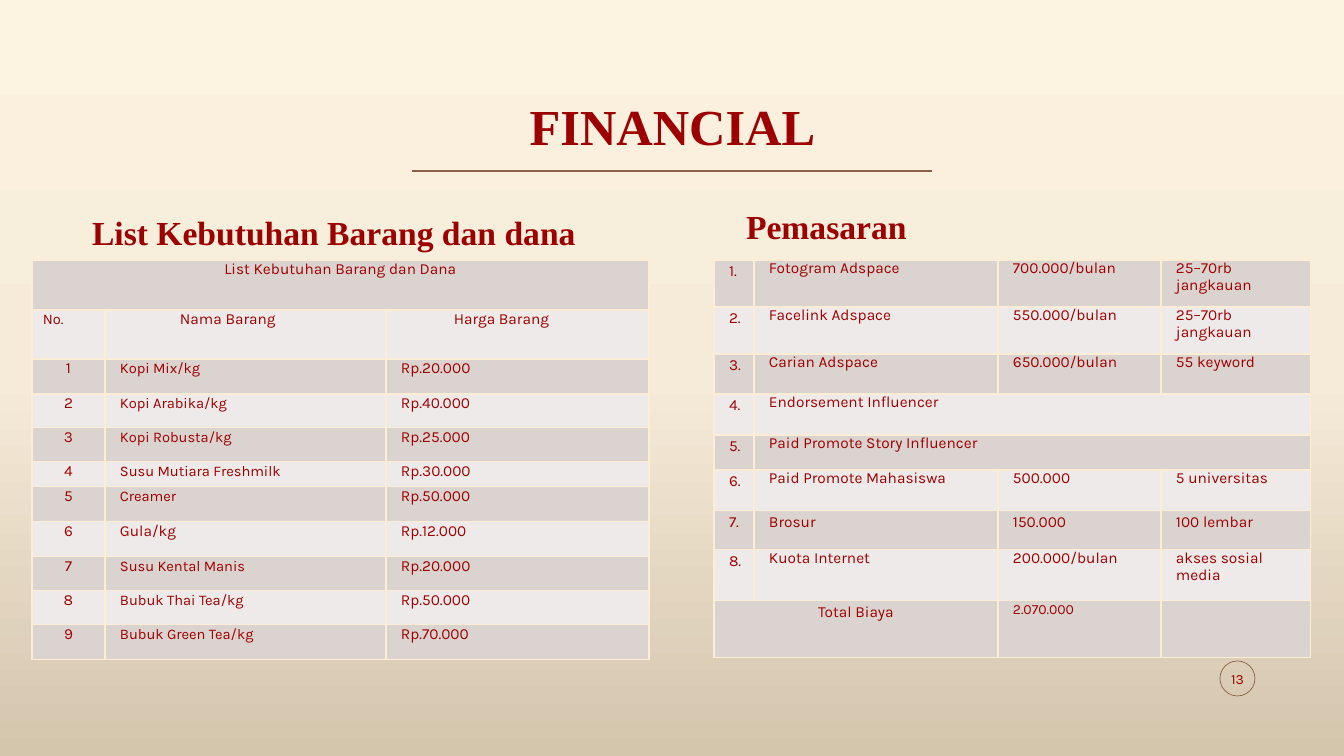
from lxml import etree
from pptx import Presentation
from pptx.dml.color import RGBColor
from pptx.enum import shapes, text
from pptx.oxml import parse_xml
from pptx.oxml.ns import nsdecls, qn
from pptx.util import Pt

PX = 9144000 / 1008  # EMU in one px
RED = RGBColor(0x9D, 0x00, 0x00)
BROWN = RGBColor(0x8D, 0x63, 0x47)
CREAM = RGBColor(0xFC, 0xED, 0xD4)
BANDS = RGBColor(0xDB, 0xD3, 0xCF), RGBColor(0xEE, 0xEA, 0xE9)
BACKGROUND = ((0, RGBColor(0xFD, 0xF3, 0xE1)), (50, RGBColor(0xF6, 0xEB, 0xD9)),
              (100, RGBColor(0xD4, 0xC5, 0xAD)))
LEFT, CENTER = text.PP_ALIGN.LEFT, text.PP_ALIGN.CENTER
TOP, MIDDLE, BOTTOM = text.MSO_ANCHOR.TOP, text.MSO_ANCHOR.MIDDLE, text.MSO_ANCHOR.BOTTOM


def px(n):
    return round(n * PX)


def apply(target, values):
    for name, value in values.items():
        setattr(target, name, value)


class Deck:
    heading = "Times New Roman"
    body = "Karla"

    def __init__(self, prs):
        self.s = prs.slides.add_slide(prs.slide_layouts[4])

    def background(self, stops):
        gs = "".join(f'<a:gs pos="{pos * 1000}"><a:srgbClr val="{color}"/></a:gs>'
                     for pos, color in stops)
        bg = parse_xml(f'<p:bg {nsdecls("p", "a")}><p:bgPr><a:gradFill rotWithShape="1">'
                       f'<a:gsLst>{gs}</a:gsLst><a:lin ang="5400000" scaled="0"/></a:gradFill>'
                       '<a:effectLst/></p:bgPr></p:bg>')
        self.s.element.cSld.insert(0, bg)

    def label(self, p, words, font, size, bold=False, **layout):
        apply(p, layout)
        r = p.add_run()
        r.text = words
        apply(r.font, {"name": font, "size": Pt(size), "bold": bold})
        r.font.color.rgb = RED

    def placeholder(self, idx, words, box, size, anchor, **layout):
        sp = self.s.placeholders[idx]
        apply(sp, dict(zip(("left", "top", "width", "height"), map(px, box))))
        tf = sp.text_frame
        apply(tf, {"auto_size": text.MSO_AUTO_SIZE.NONE, "word_wrap": True,
                   "vertical_anchor": anchor})
        self.label(tf.paragraphs[0], words, self.heading, size, True,
                   space_before=Pt(0), **layout)

    def line(self, x1, y1, x2, y2):
        sp = self.s.shapes.add_connector(shapes.MSO_CONNECTOR.STRAIGHT,
                                         *map(px, (x1, y1, x2, y2)))
        sp.line.color.rgb = BROWN
        sp.line.width = Pt(1)
        etree.SubElement(sp.element.spPr, qn("a:effectLst"))

    def badge(self, words, box):
        sp = self.s.shapes.add_shape(shapes.MSO_SHAPE.OVAL, *map(px, box))
        sp.shadow.inherit = False
        sp.fill.background()
        sp.line.color.rgb = BROWN
        sp.line.width = Pt(0.5)
        tf = sp.text_frame
        apply(tf, {"margin_left": 0, "margin_right": 0, "margin_top": 0, "margin_bottom": 0,
                   "word_wrap": True, "vertical_anchor": MIDDLE})
        self.label(tf.paragraphs[0], words, self.body, 10, alignment=CENTER)

    def table(self, left, top, widths, heights, merges=()):
        frame = self.s.shapes.add_table(len(heights), len(widths), px(left), px(top),
                                        px(sum(widths)), px(sum(heights)))
        table = frame.table
        apply(table, {"first_row": False, "horz_banding": False})
        for column, width in zip(table.columns, widths):
            column.width = px(width)
        for i, (row, height) in enumerate(zip(table.rows, heights)):
            row.height = px(height)
            for cell in row.cells:
                self.style_cell(cell, BANDS[i % 2])
        for row, first, last in merges:
            table.cell(row, first).merge(table.cell(row, last))
        return table

    def style_cell(self, cell, color):
        apply(cell, {"margin_left": px(7), "margin_right": px(7),
                     "margin_top": 0, "margin_bottom": 0})
        cell.text_frame.paragraphs[0].font.size = Pt(11)
        cell.fill.solid()
        cell.fill.fore_color.rgb = color
        tcPr = cell._tc.get_or_add_tcPr()
        for i, side in enumerate("LRTB"):
            tcPr.insert(i, parse_xml(
                f'<a:ln{side} {nsdecls("a")} w="12700"><a:solidFill>'
                f'<a:srgbClr val="{CREAM}"/></a:solidFill></a:ln{side}>'))

    def cell(self, table, row, col, words, spacing, indent=0, size=11, align=LEFT):
        p = table.cell(row, col).text_frame.paragraphs[0]
        if indent:
            p._p.get_or_add_pPr().set("marL", str(px(indent)))
        self.label(p, words, self.body, size, alignment=align, line_spacing=spacing)


def main():
    prs = Presentation()
    prs.slide_width, prs.slide_height = px(1344), px(756)
    deck = Deck(prs)
    deck.background(BACKGROUND)

    # Title and section headings
    deck.placeholder(0, "FINANCIAL", (93, 84, 1159, 77), 36, BOTTOM,
                     alignment=CENTER, line_spacing=0.9)
    deck.line(412, 171, 932, 171)
    deck.placeholder(1, "List Kebutuhan Barang dan dana", (82, 207, 516, 38), 24, TOP)
    deck.placeholder(3, "Pemasaran", (736, 201, 516, 38), 24, TOP)
    for idx in (2, 4):
        sp = deck.s.placeholders[idx].element
        sp.getparent().remove(sp)

    # Goods and prices
    goods = (("Kopi Mix/kg", 20, 10.5), ("Kopi Arabika/kg", 40, 10.5),
             ("Kopi Robusta/kg", 25, 10.5), ("Susu Mutiara Freshmilk", 30, 10.5),
             ("Creamer", 50, 10.5), ("Gula/kg", 12, 11), ("Susu Kental Manis", 20, 10.5),
             ("Bubuk Thai Tea/kg", 50, 10.5), ("Bubuk Green Tea/kg", 70, 10.5))
    pt = Pt(13.2)
    table = deck.table(32, 260, (73, 281, 263),
                       (50, 49, 35, 34, 34, 25, 35, 35, 34, 34, 35), [(0, 0, 2)])
    deck.cell(table, 0, 0, "List Kebutuhan Barang dan Dana", pt, align=CENTER)
    deck.cell(table, 1, 0, "No.", pt, 4, 10.5)
    deck.cell(table, 1, 1, "Nama Barang", pt, 68)
    deck.cell(table, 1, 2, "Harga Barang", pt, 61)
    for n, (name, price, size) in enumerate(goods, 1):
        deck.cell(table, n + 1, 0, str(n), pt, align=CENTER)
        deck.cell(table, n + 1, 1, name, pt, 8, size)
        deck.cell(table, n + 1, 2, f"Rp.{price}.000", pt, 8)

    # Marketing costs
    marketing = (("Fotogram Adspace", "700.000/bulan", "25–70rb jangkauan"),
                 ("Facelink Adspace", "550.000/bulan", "25–70rb jangkauan"),
                 ("Carian Adspace", "650.000/bulan", "55 keyword"),
                 ("Endorsement Influencer",),
                 ("Paid Promote Story Influencer",),
                 ("Paid Promote Mahasiswa", "500.000", "5 universitas"),
                 ("Brosur", "150.000", "100 lembar"),
                 ("Kuota Internet", "200.000/bulan", "akses sosial media"))
    pt = Pt(12.4)
    table = deck.table(714, 260, (40, 244, 163, 150), (47, 47, 40, 41, 35, 41, 39, 51, 57),
                       [(3, 1, 3), (4, 1, 3), (8, 0, 1)])
    for row, entry in enumerate(marketing):
        deck.cell(table, row, 0, f"{row + 1}.", 1.15, 8)
        for col, words in enumerate(entry, 1):
            deck.cell(table, row, col, words, 1.15 if entry[0] == "Brosur" else pt, 8)
    deck.cell(table, 8, 0, "Total Biaya", 1.15, align=CENTER)
    deck.cell(table, 8, 2, "2.070.000", pt, 8, 10)

    # Page number
    deck.badge("13", (1220, 661, 35, 35))
    prs.save("out.pptx")


if __name__ == "__main__":
    main()
